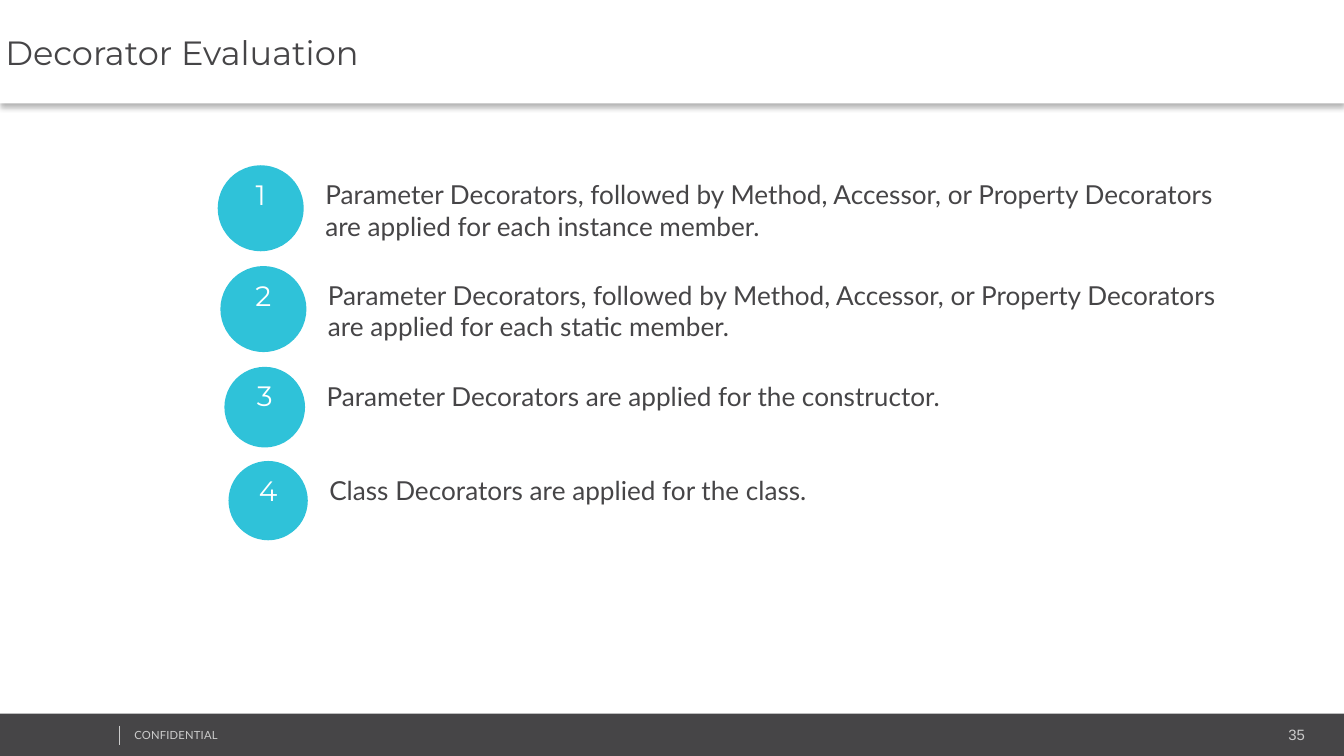
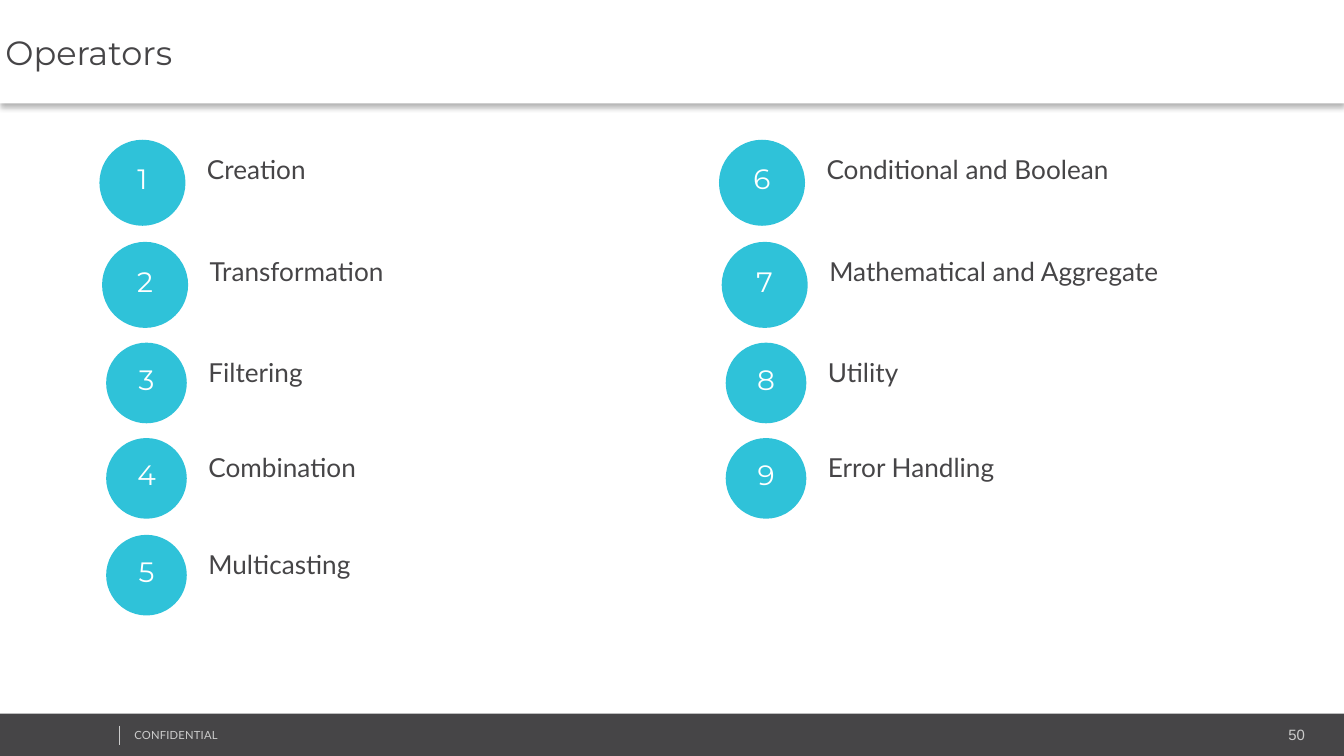
from lxml.etree import SubElement as Sub
from pptx import Presentation
from pptx.dml.color import RGBColor
from pptx.enum.shapes import MSO_CONNECTOR as Line, MSO_SHAPE as Kind
from pptx.enum.text import MSO_ANCHOR as Anchor, MSO_AUTO_SIZE as Auto, PP_ALIGN as Align
from pptx.oxml.ns import qn
from pptx.util import Inches, Pt

# Content: dots are (left, top, size); each column is (shift, labels)
SLIDES = [
    {
        "title": "Decorator Evaluation",
        "page": "35",
        "drop": 0.06,
        "dots": [(1.62, 1.23, 0.64), (1.64, 1.98, 0.64), (1.67, 2.73, 0.6),
                 (1.7, 3.43, 0.59)],
        "columns": [(0, [
            "Parameter Decorators, followed by Method, Accessor, or Property "
            "Decorators are applied for each instance member.",
            "Parameter Decorators, followed by Method, Accessor, or Property "
            "Decorators are applied for each static member.",
            "Parameter Decorators are applied for the constructor.",
            "Class Decorators are applied for the class.",
        ])],
    },
    {
        "title": "Operators",
        "page": "50",
        "drop": None,  # numbers centred in their dots
        "dots": [(0.74, 1.04, 0.64), (0.76, 1.8, 0.64), (0.79, 2.55, 0.6),
                 (0.79, 3.26, 0.6), (0.79, 3.98, 0.6)],
        "columns": [
            (0, ["Creation", "Transformation", "Filtering", "Combination",
                 "Multicasting"]),
            (4.61, ["Conditional and Boolean", "Mathematical and Aggregate",
                    "Utility", "Error Handling"]),
        ],
    },
]

# Shared style
WIDE = 10
HIGH = WIDE * 9 / 16
DARK, TEAL, PALE, WHITE = "464547", "2FC2D9", "CCCCCC", "FFFFFF"
HEAD, BODY, PLAIN = "Montserrat", "Lato", "Arial"
FOOT = 5.31
LABEL, NUMBER = 6.82, 0.37  # label width, number height


def color(code):
    return RGBColor.from_string(code)


def place(shape, *box):
    shape.left, shape.top, shape.width, shape.height = map(Inches, box)


def write(shape, text, font, size, code, inset, align=Align.LEFT, wrap=True):
    frame = shape.text_frame
    frame.word_wrap = wrap
    frame.auto_size = Auto.NONE
    frame.margin_left = frame.margin_right = Inches(inset)
    frame.margin_top = frame.margin_bottom = Inches(inset)
    para = frame.paragraphs[0]
    para.alignment = align
    run = para.add_run()
    run.text = text
    run.font.name, run.font.size = font, Pt(size)
    run.font.color.rgb = color(code)
    return run


def add_text(shapes, box, *args, **style):
    return write(shapes.add_textbox(*map(Inches, box)), *args, **style)


def add_solid(shapes, kind, box, code):
    shape = shapes.add_shape(kind, *map(Inches, box))
    shape.shadow.inherit = False
    shape.fill.solid()
    shape.fill.fore_color.rgb = color(code)
    shape.line.fill.background()


def add_title(slide, text):
    title = slide.shapes.title
    place(title, 0, 0, WIDE, 0.77)
    title.fill.solid()
    title.fill.fore_color.rgb = color(WHITE)
    write(title, text, HEAD, 18, DARK, 0.04)
    title.text_frame.vertical_anchor = Anchor.MIDDLE
    title.text_frame.paragraphs[0].space_before = Pt(4)
    # Soft shadow below the title band
    effects = Sub(title.element.spPr, qn("a:effectLst"))
    shade = Sub(effects, qn("a:outerShdw"), blurRad=str(Pt(3)),
                dist=str(Pt(2)), dir="5400000", rotWithShape="0")
    black = Sub(shade, qn("a:srgbClr"), val="000000")
    Sub(black, qn("a:alpha"), val="30000")


def add_footer(shapes, page):
    add_solid(shapes, Kind.RECTANGLE, (0, FOOT, WIDE, HIGH - FOOT), DARK)
    note = add_text(shapes, (0.96, 5.38, 2.53, 0.17), "CONFIDENTIAL",
                    BODY, 6, PALE, 0.04)
    note.font._element.set("spc", "10")
    rule = shapes.add_connector(
        Line.STRAIGHT, *map(Inches, (0.89, 5.4, 0.89, 5.54)))
    rule.line.color.rgb = color(PALE)
    rule.line.width = Pt(0.25)
    Sub(rule._element.spPr, qn("a:effectLst"))
    add_text(shapes, (9.54, 5.36, 0.21, 0.21), page, PLAIN, 8, PALE, 0.04,
             align=Align.RIGHT, wrap=False)


def add_item(slide, number, text, left, top, size, drop):
    shapes = slide.shapes.add_group_shape().shapes
    # Label right of the dot, two lines high when long
    start = left + size + 0.11
    tall = 0.54 if len(text) > 80 else 0.32
    add_text(shapes, (start, top + 0.05, min(LABEL, WIDE - start), tall),
             text, BODY, 14, DARK, 0.05)
    # Dot and its number
    add_solid(shapes, Kind.OVAL, (left, top, size, size), TEAL)
    if drop is None:
        drop = (size - NUMBER) / 2
    wide = 0.56 * size
    add_text(shapes, (left + (size - wide) / 2, top + drop, wide, NUMBER),
             str(number), HEAD, 15, WHITE, 0.03, align=Align.CENTER)


def main():
    deck = Presentation()
    deck.slide_width, deck.slide_height = Inches(WIDE), Inches(HIGH)
    for data in SLIDES:
        slide = deck.slides.add_slide(deck.slide_layouts[5])
        add_footer(slide.shapes, data["page"])
        add_title(slide, data["title"])
        number = 0
        for shift, labels in data["columns"]:
            for text, (left, top, size) in zip(labels, data["dots"]):
                number += 1
                add_item(slide, number, text, left + shift, top, size,
                         data["drop"])
    deck.save("out.pptx")


if __name__ == "__main__":
    main()
